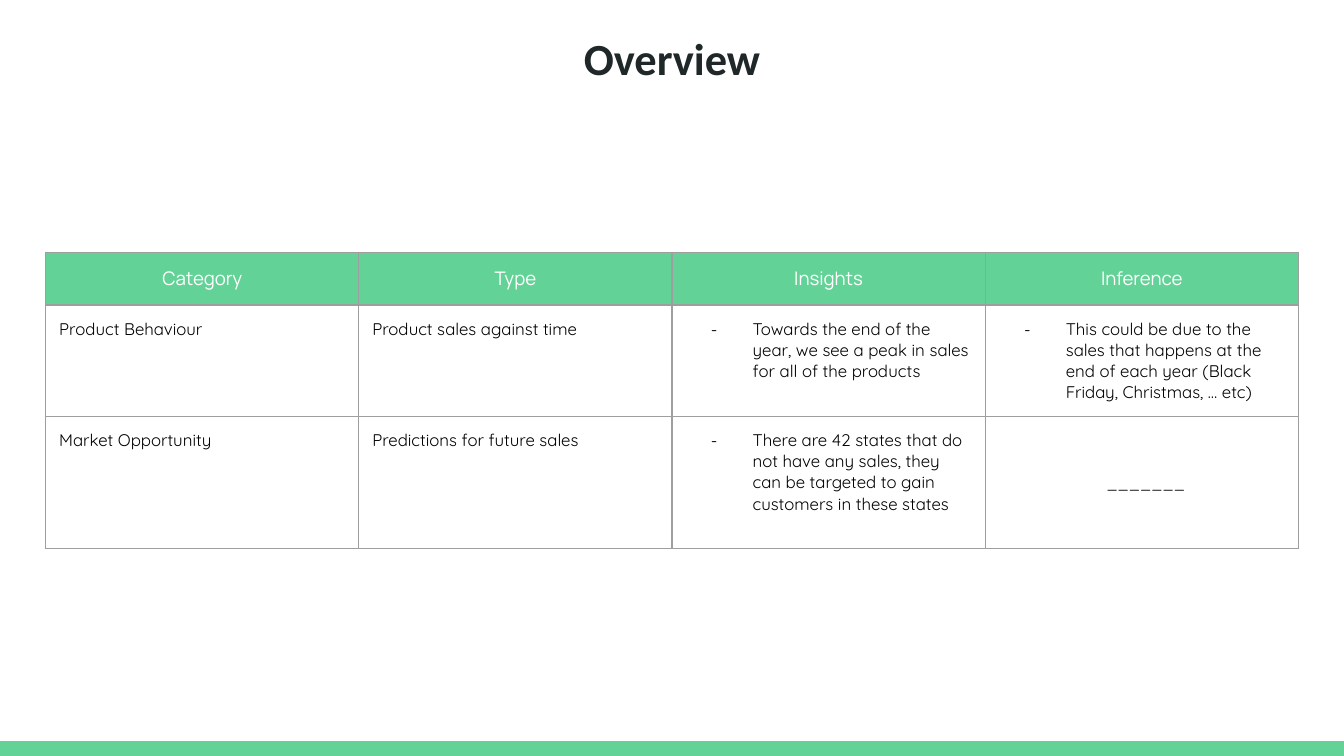
from dataclasses import dataclass
from lxml.etree import SubElement
from pptx import Presentation
from pptx.dml.color import RGBColor
from pptx.enum.shapes import MSO_SHAPE
from pptx.enum.text import MSO_ANCHOR, MSO_AUTO_SIZE, PP_ALIGN
from pptx.oxml.ns import qn
from pptx.util import Inches, Pt


@dataclass(frozen=True)
class Font:
    name: str
    size: float
    color: str
    bold: bool = False


@dataclass(frozen=True)
class Theme:
    green: str = "63D297"
    rule: str = "9E9E9E"
    title: Font = Font("Calibri", 23.8, "202729", True)
    head: Font = Font("Manrope", 10, "FFFFFF")
    body: Font = Font("Quicksand", 9, "000000")


@dataclass(frozen=True)
class Entry:
    text: str
    bullet: bool = False
    center: bool = False


THEME = Theme()
WIDE = Inches(10)
HIGH = WIDE * 9 // 16
EDGE, PAD = Inches(0.34), Inches(0.1)
HEIGHTS = [0.39, 0.83, 0.98]
HEADS = ["Category", "Type", "Insights", "Inference"]
BODY = [
    [
        Entry("Product Behaviour"),
        Entry("Product sales against time"),
        Entry("Towards the end of the year, we see a peak in sales "
              "for all of the products", bullet=True),
        Entry("This could be due to the sales that happens at the end of "
              "each year (Black Friday, Christmas, … etc)", bullet=True),
    ],
    [
        Entry("Market Opportunity"),
        Entry("Predictions for future sales"),
        Entry("There are 42 states that do not have any sales, they can be "
              "targeted to gain customers in these states", bullet=True),
        Entry("_______", center=True),
    ],
]


def style(para, font: Font, align=PP_ALIGN.LEFT) -> None:
    para.alignment = align
    para.font.name = font.name
    para.font.size = Pt(font.size)
    para.font.bold = font.bold
    para.font.color.rgb = RGBColor.from_string(font.color)


def pad(box) -> None:
    box.margin_left = box.margin_right = PAD
    box.margin_top = box.margin_bottom = PAD


def add_dash(para, font: Font) -> None:
    """Give the paragraph a hanging dash bullet."""
    props = para._p.get_or_add_pPr()
    props.set("marL", str(Inches(0.5)))
    props.set("indent", str(Inches(-0.31)))
    face = SubElement(props, qn("a:buFont"), typeface=font.name)
    mark = SubElement(props, qn("a:buChar"), char="-")
    for spot, part in enumerate((face, mark)):
        props.insert(spot, part)


def add_rules(cell) -> None:
    """Draw all four cell borders, which must come before the fill."""
    props = cell._tc.get_or_add_tcPr()
    for spot, side in enumerate(("a:lnL", "a:lnR", "a:lnT", "a:lnB")):
        line = SubElement(props, qn(side), w=str(Pt(0.75)))
        fill = SubElement(line, qn("a:solidFill"))
        SubElement(fill, qn("a:srgbClr"), val=THEME.rule)
        props.insert(spot, line)


def fill_cell(cell, entry: Entry, font: Font) -> None:
    cell.text = entry.text
    pad(cell)
    para = cell.text_frame.paragraphs[0]
    style(para, font, PP_ALIGN.CENTER if entry.center else PP_ALIGN.LEFT)
    if entry.bullet:
        add_dash(para, font)
    add_rules(cell)


def add_grid(slide) -> None:
    wide = WIDE - 2 * EDGE
    frame = slide.shapes.add_table(
        len(HEIGHTS), len(HEADS), EDGE, Inches(1.88), wide,
        Inches(sum(HEIGHTS)))
    table = frame.table
    table.first_row = table.horz_banding = False
    for row, high in zip(table.rows, HEIGHTS):
        row.height = Inches(high)
    for col, head in enumerate(HEADS):
        table.columns[col].width = wide // len(HEADS)
        cell = table.cell(0, col)
        fill_cell(cell, Entry(head, center=True), THEME.head)
        cell.fill.solid()
        cell.fill.fore_color.rgb = RGBColor.from_string(THEME.green)
    for row, line in enumerate(BODY, 1):
        for col, entry in enumerate(line):
            cell = table.cell(row, col)
            fill_cell(cell, entry, THEME.body)
            cell.fill.background()
            if entry.center:
                cell.vertical_anchor = MSO_ANCHOR.MIDDLE
                cell.margin_left = Inches(0.16)


def add_bar(slide) -> None:
    high = Inches(0.11)
    bar = slide.shapes.add_shape(
        MSO_SHAPE.RECTANGLE, 0, HIGH - high, WIDE, high)
    bar.shadow.inherit = False
    bar.fill.solid()
    bar.fill.fore_color.rgb = RGBColor.from_string(THEME.green)
    bar.line.fill.background()


def set_title(slide, text: str) -> None:
    title = slide.shapes.title
    title.left, title.top = EDGE, Inches(0.13)
    title.width, title.height = WIDE - 2 * EDGE, Inches(0.53)
    frame = title.text_frame
    frame.text = text
    frame.word_wrap = True
    frame.auto_size = MSO_AUTO_SIZE.NONE
    frame.vertical_anchor = MSO_ANCHOR.TOP
    pad(frame)
    style(frame.paragraphs[0], THEME.title, PP_ALIGN.CENTER)


def main() -> None:
    deck = Presentation()
    deck.slide_width, deck.slide_height = WIDE, HIGH
    slide = deck.slides.add_slide(deck.slide_layouts[5])
    add_bar(slide)
    set_title(slide, "Overview")
    add_grid(slide)
    deck.save("out.pptx")


if __name__ == "__main__":
    main()
